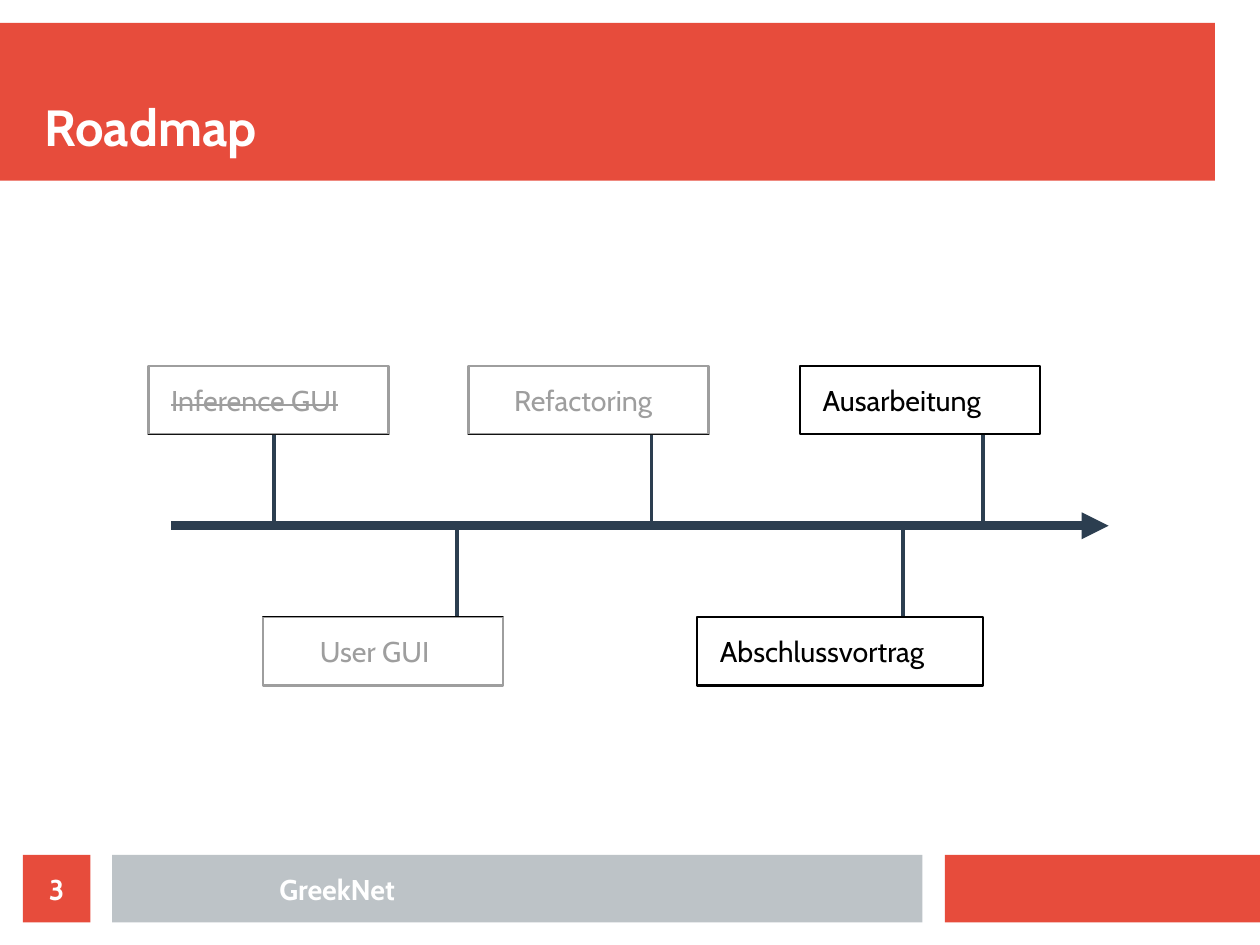
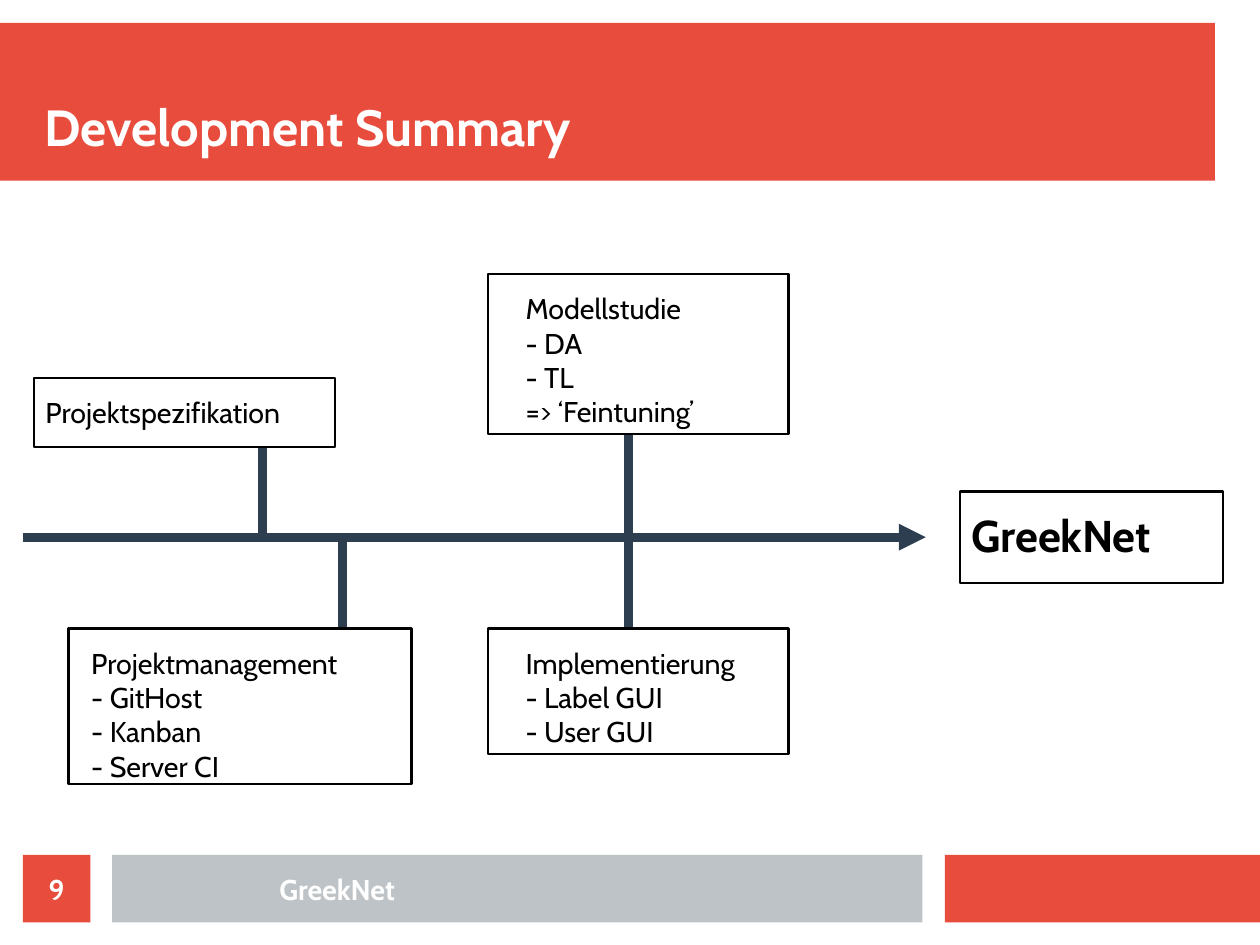
from dataclasses import dataclass
from typing import Optional
from lxml.etree import SubElement as Sub
from pptx import Presentation
from pptx.dml.color import RGBColor
from pptx.enum.shapes import MSO_CONNECTOR as Conn, MSO_SHAPE as Shape
from pptx.enum.text import MSO_ANCHOR as Anchor, MSO_AUTO_SIZE as Fit, PP_ALIGN as Align
from pptx.oxml.ns import qn
from pptx.util import Emu, Inches, Pt

RED = RGBColor(0xE7, 0x4C, 0x3C)
GREY = RGBColor(0xBD, 0xC3, 0xC7)
NAVY = RGBColor(0x2C, 0x3E, 0x50)
BLACK = RGBColor(0, 0, 0)
WHITE = RGBColor(0xFF, 0xFF, 0xFF)

CELL = Inches(0.1)
COLS, ROWS = 110.24, 82.68
FOOT, TALL = 74.8, 5.9
THICK, THIN = 5.67, 2.3

BODY = {"name": "Cabin", "size": Pt(18), "bold": False}
BIG = BODY | {"size": Pt(28), "bold": True}
TITLE = BODY | {"size": Pt(32), "bold": True}
LABEL = BODY | {"bold": True}

Area = tuple[float, float, float, float]


@dataclass(frozen=True)
class Node:
    area: Area
    lines: tuple[str, ...]
    indent: float = 1
    stem: Optional[float] = None
    veil: Optional[float] = None
    struck: bool = False
    big: bool = False


@dataclass(frozen=True)
class Page:
    number: int
    title: str
    start: float
    end: float
    row: float
    width: float
    nodes: tuple[Node, ...]


PAGES = (
    Page(3, "Roadmap", 15, 97, 46, THIN, (
        Node((13, 32, 21, 6), ("Inference GUI",), 1, 24, 10, True),
        Node((23, 54, 21, 6), ("User GUI",), 4, 40, 22),
        Node((41, 32, 21, 6), ("Refactoring",), 3, 57, 38),
        Node((61, 54, 25, 6), ("Abschlussvortrag",), 1, 79),
        Node((70, 32, 21, 6), ("Ausarbeitung",), 1, 86),
    )),
    Page(9, "Development Summary", 2, 81, 47, THICK, (
        Node((3, 33.1, 26.3, 6), ("Projektspezifikation",), 0, 23),
        Node((6, 55, 30, 13.6),
             ("Projektmanagement", "- GitHost", "- Kanban", "- Server CI"), 1, 30),
        Node((42.7, 24, 26.3, 14),
             ("Modellstudie", "- DA", "- TL", "=> ‘Feintuning’"), 2.3, 55),
        Node((42.7, 55, 26.3, 11),
             ("Implementierung", "- Label GUI", "- User GUI"), 2.3, 55),
        Node((84, 43, 23, 8), ("GreekNet",), 0, big=True),
    )),
)


def grid(*spans: float) -> list[Emu]:
    return [Emu(round(span * CELL)) for span in spans]


def rect(slide, area: Area, fill: Optional[RGBColor] = None,
         edge: Optional[RGBColor] = None):
    shape = slide.shapes.add_shape(Shape.RECTANGLE, *grid(*area))
    shape.shadow.inherit = False
    if fill is None:
        shape.fill.background()
    else:
        shape.fill.solid()
        shape.fill.fore_color.rgb = fill
    if edge is None:
        shape.line.fill.background()
    else:
        shape.line.color.rgb = edge
        shape.line.width = Pt(1.5)
    return shape


def line(slide, start: tuple[float, float], end: tuple[float, float],
         width: float, arrow: bool = False) -> None:
    link = slide.shapes.add_connector(Conn.STRAIGHT, *grid(*start, *end))
    link.line.color.rgb = NAVY
    link.line.width = Pt(width)
    if arrow:
        Sub(link.line._get_or_add_ln(), qn("a:tailEnd"), type="triangle")
    Sub(link._element.spPr, qn("a:effectLst"))


def write(shape, lines: tuple[str, ...], style: dict, color: RGBColor,
          align: Align = Align.LEFT, anchor: Anchor = Anchor.TOP,
          inset: tuple[float, float] = (0, 0), struck: bool = False) -> None:
    frame = shape.text_frame
    side, rise = grid(*inset)
    form = {"word_wrap": True, "vertical_anchor": anchor,
            "margin_left": side, "margin_right": side,
            "margin_top": rise, "margin_bottom": rise}
    for key, value in form.items():
        setattr(frame, key, value)
    for rank, text in enumerate(lines):
        para = frame.add_paragraph() if rank else frame.paragraphs[0]
        para.alignment = align
        run = para.add_run()
        run.text = text
        for key, value in style.items():
            setattr(run.font, key, value)
        run.font.color.rgb = color
        if struck:
            run._r.get_or_add_rPr().set("strike", "sngStrike")


def note(slide, area: Area):
    return slide.shapes.add_textbox(*grid(*area))


def frame(slide, page: Page) -> None:
    rect(slide, (0, 2, 106.3, 13.8), RED)
    rect(slide, (COLS * 0.75, FOOT, COLS * 0.25, TALL), RED)
    rect(slide, (9.8, FOOT, 70.9, TALL), GREY)
    write(note(slide, (3.9, 3.9, 102.4, 9.8)), (page.title,), TITLE, WHITE,
          anchor=Anchor.BOTTOM)
    label = note(slide, (11.8, FOOT, 35.4, TALL))
    badge = rect(slide, (2, FOOT, TALL, TALL), RED)
    for shape, text in ((label, "GreekNet"), (badge, str(page.number))):
        write(shape, (text,), LABEL, WHITE, Align.CENTER, Anchor.MIDDLE)


def draw(slide, node: Node, page: Page) -> None:
    left, top, width, high = node.area
    above = top < page.row
    if node.stem is not None:
        edge = top + high if above else top
        line(slide, (node.stem, edge), (node.stem, page.row), page.width)
    rect(slide, node.area, edge=BLACK)
    tall = 1 + 3.4 * len(node.lines)
    text = note(slide, (left + node.indent, top + 1, width - node.indent, tall))
    write(text, node.lines, BIG if node.big else BODY, BLACK,
          inset=(1, 0.5), struck=node.struck)
    text.text_frame.auto_size = Fit.SHAPE_TO_FIT_TEXT
    if node.veil is not None:
        veil = rect(slide, (node.veil, top - 1 if above else top, 26, 7), WHITE)
        tint = veil._element.spPr.find(qn("a:solidFill"))[0]
        Sub(tint, qn("a:alpha"), val="62000")


def main() -> None:
    deck = Presentation()
    deck.slide_width, deck.slide_height = grid(COLS, ROWS)
    for page in PAGES:
        slide = deck.slides.add_slide(deck.slide_layouts[6])
        frame(slide, page)
        line(slide, (page.start, page.row), (page.end, page.row), THICK, True)
        for node in page.nodes:
            draw(slide, node, page)
    deck.save("out.pptx")


if __name__ == "__main__":
    main()
